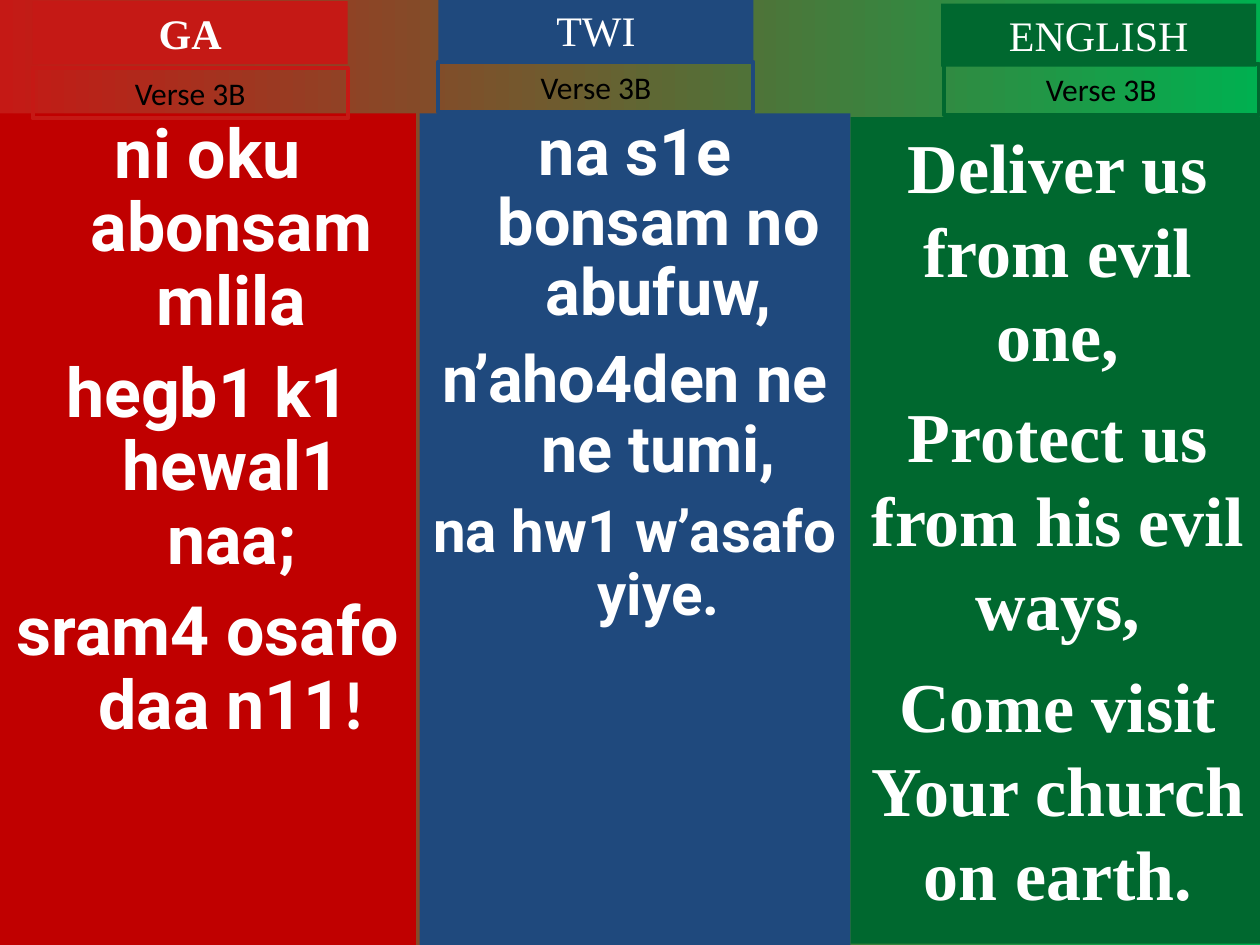
from lxml.etree import SubElement
from pptx import Presentation
from pptx.dml.color import RGBColor
from pptx.enum.text import MSO_ANCHOR as Anchor, MSO_AUTO_SIZE as AutoSize, PP_ALIGN as Align
from pptx.oxml.ns import qn
from pptx.util import Pt

RED = RGBColor(0xC0, 0x00, 0x00)
BRIGHT_RED = RGBColor(0xC5, 0x19, 0x15)
BLUE = RGBColor(0x1F, 0x49, 0x7D)
GREEN = RGBColor(0x00, 0x68, 0x2F)
BRIGHT_GREEN = RGBColor(0x00, 0xB0, 0x50)
WHITE = RGBColor(0xFF, 0xFF, 0xFF)
BLACK = RGBColor(0x00, 0x00, 0x00)
SERIF = "Times New Roman"


def write_text(shape, lines, font="Calibri", color=WHITE, bold=False, hanging=0, spacing=None):
    frame = shape.text_frame
    frame.word_wrap = True
    frame.auto_size = AutoSize.NONE
    frame.vertical_anchor = Anchor.TOP
    frame.margin_left = frame.margin_right = Pt(7.2)
    frame.margin_top = frame.margin_bottom = Pt(3.6)
    for index, (text, size, before) in enumerate(lines):
        paragraph = frame.paragraphs[0] if index == 0 else frame.add_paragraph()
        paragraph.alignment = Align.CENTER
        paragraph.space_before = Pt(before if index else 0)
        if spacing:
            paragraph.line_spacing = spacing
        if hanging:
            properties = paragraph._p.get_or_add_pPr()
            properties.set("marL", str(Pt(hanging)))
            properties.set("indent", str(-Pt(hanging)))
            SubElement(properties, qn("a:buNone"))
        run = paragraph.add_run()
        run.text = text
        run.font.size = Pt(size)
        run.font.name = font
        run.font.bold = bold
        run.font.color.rgb = color


def place(shape, left, top, width, height):
    shape.left, shape.top = Pt(left), Pt(top)
    shape.width, shape.height = Pt(width), Pt(height)


presentation = Presentation()
presentation.slide_width, presentation.slide_height = Pt(720), Pt(540)
slide = presentation.slides.add_slide(presentation.slide_layouts[3])
title, ga_column, twi_column = slide.placeholders

background = slide.background.fill
background.gradient()
background.gradient_angle = 0
for stop, color, position in zip(background.gradient_stops, (BRIGHT_RED, BRIGHT_GREEN), (0, 1)):
    stop.color.rgb = color
    stop.position = position

ga_lines = [
    ("ni oku abonsam mlila", 38.9, 10.5),
    ("hegb1 k1 hewal1 naa;", 38.9, 10.5),
    ("sram4 osafo daa n11", 38.9, 10.5),
]
twi_lines = [
    ("na s1e bonsam no abufuw,", 37, 10),
    ("n’aho4den ne ne tumi,", 37, 10),
    ("na hw1 w’asafo yiye.", 33.3, 9),
]
english_lines = [
    ("Deliver us from evil one,", 40, 10),
    ("Protect us from his evil ways,", 40, 10),
    ("Come visit Your church on earth.", 40, 10),
]

english_column = slide.shapes.add_textbox(0, 0, 0, 0)
roboto = {"font": "Roboto", "bold": True, "hanging": 27, "spacing": 0.9}
columns = [
    (ga_column, (0, 64.8, 237.6, 475.2), RED, ga_lines, roboto),
    (twi_column, (239.76, 64.8, 246.24, 475.2), BLUE, twi_lines, roboto),
    (english_column, (486, 66.96, 236.88, 472.32), GREEN, english_lines, {"font": SERIF, "bold": True}),
]
for column, box, color, lines, style in columns:
    place(column, *box)
    column.fill.solid()
    column.fill.fore_color.rgb = color
    write_text(column, lines, **style)

exclamation = ga_column.text_frame.paragraphs[-1].add_run()
exclamation.text = "!"
exclamation.font.size = Pt(38.9)
exclamation.font.name = "Calibri"
exclamation.font.bold = True
exclamation.font.color.rgb = WHITE

headings = [
    ("GA", BRIGHT_RED, 18.72, 0.72, 18.72, 38.88),
    ("TWI", BLUE, 250.56, -0.72, 250.56, 35.28),
    ("ENGLISH", GREEN, 537.84, 2.16, 539.28, 36.72),
]
for language, color, left, top, verse_left, verse_top in headings:
    heading = title if language == "GA" else slide.shapes.add_textbox(0, 0, 0, 0)
    place(heading, left, top, 180, 36)
    heading.fill.solid()
    heading.fill.fore_color.rgb = color
    write_text(heading, [(language, 24, 0)], font=SERIF, bold=language == "GA")

    verse = slide.shapes.add_textbox(Pt(verse_left), Pt(verse_top), Pt(180), Pt(28.8))
    verse.line.color.rgb = color
    verse.line.width = Pt(2.25)
    write_text(verse, [("Verse 3B", 18, 0)], color=BLACK)

presentation.save("out.pptx")
